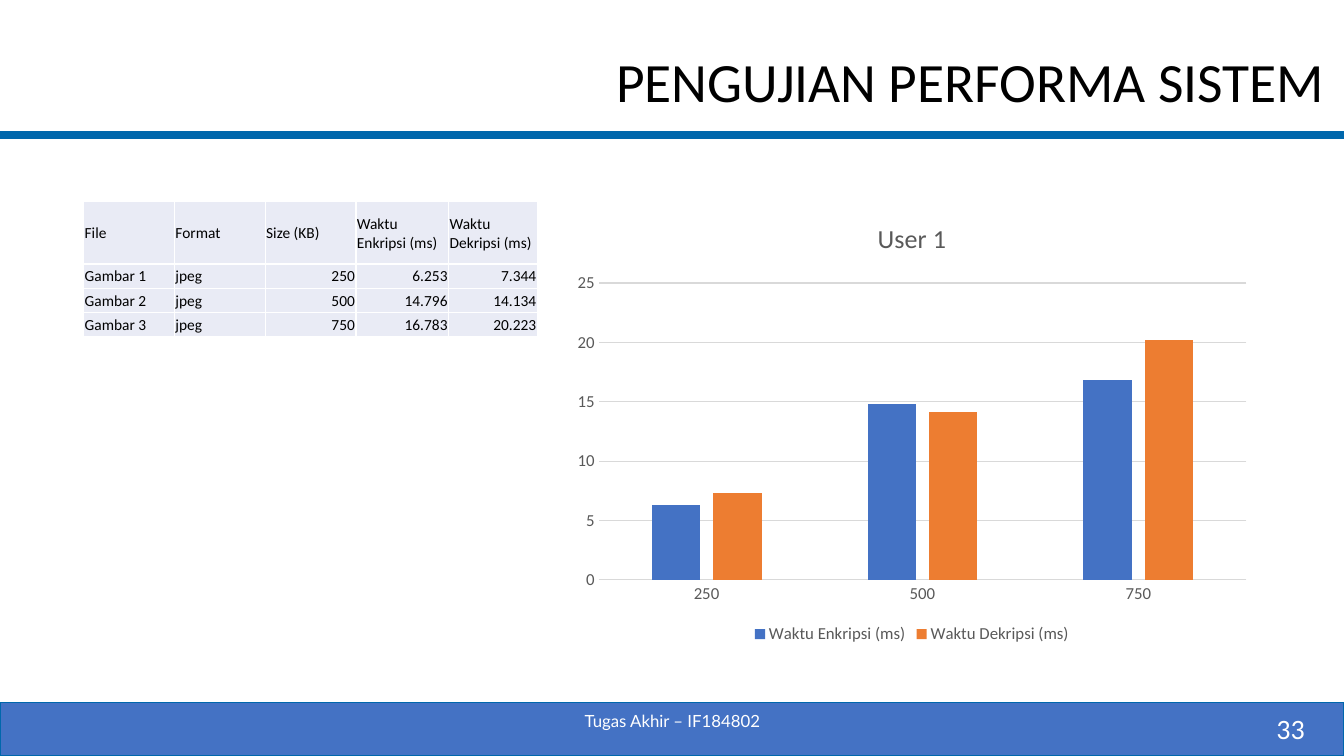
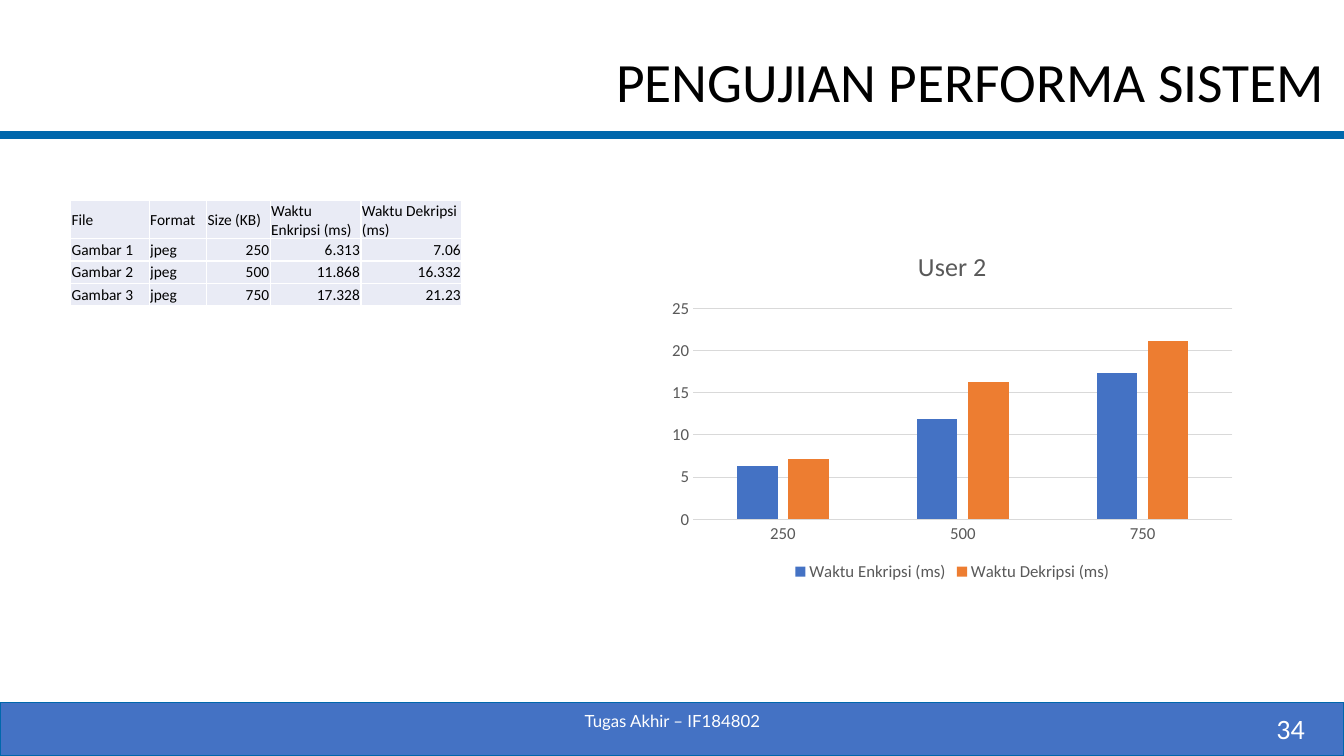
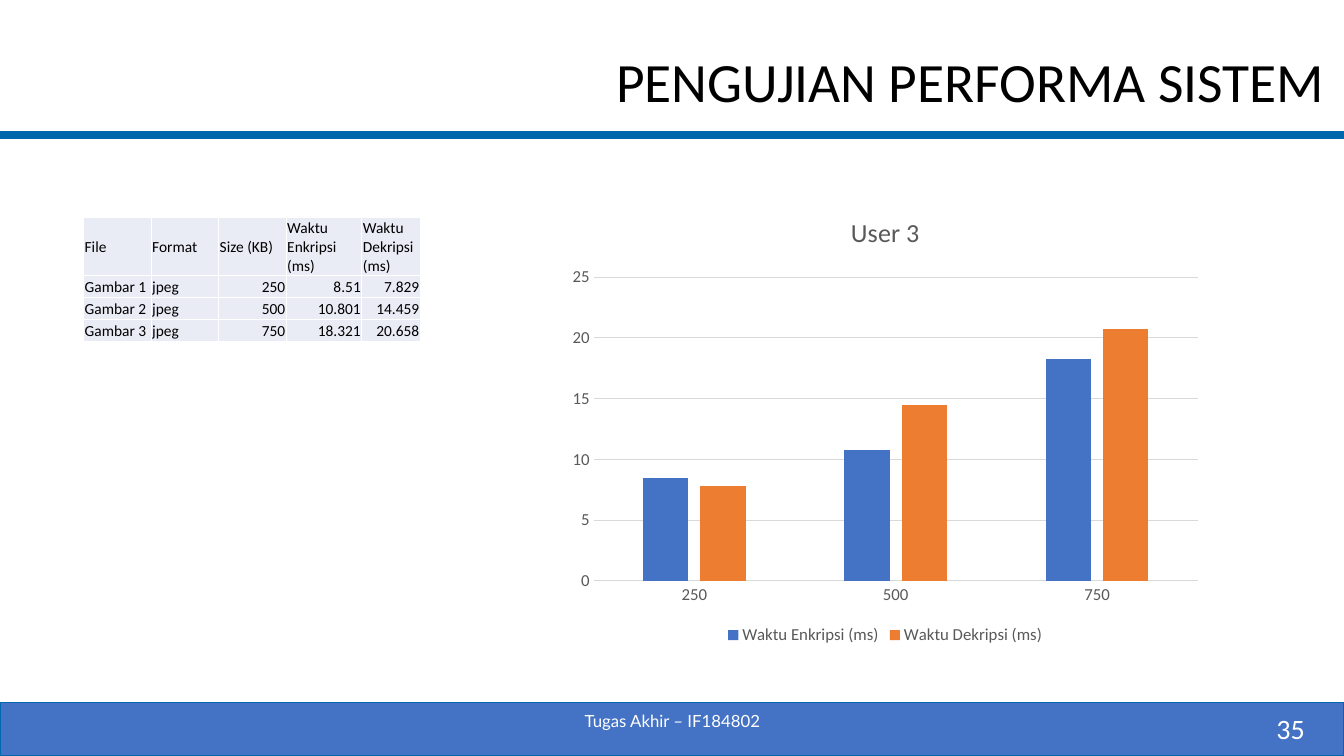
from lxml import etree
from pptx import Presentation
from pptx import util as u
from pptx.chart import data as chart_data
from pptx.dml.color import RGBColor
from pptx.enum import chart as ch
from pptx.enum import shapes, text
from pptx.oxml import ns

WIDTH, HEIGHT = 13.33, 7.5
RULE_BLUE = RGBColor(0x00, 0x67, 0xAC)
BLUE = RGBColor(0x44, 0x72, 0xC4)
ORANGE = RGBColor(0xED, 0x7D, 0x31)
CELL = RGBColor(0xE9, 0xEB, 0xF5)
GRID = RGBColor(0xD9, 0xD9, 0xD9)
GREY = RGBColor(0x59, 0x59, 0x59)
BLACK = RGBColor(0, 0, 0)
WHITE = RGBColor(255, 255, 255)

LEFT, CENTER, RIGHT = text.PP_ALIGN.LEFT, text.PP_ALIGN.CENTER, text.PP_ALIGN.RIGHT
TITLE = {"name": "Calibri", "size": u.Pt(39.6), "color": BLACK}
NUMBER = {"name": "Calibri", "size": u.Pt(20), "color": WHITE}
FOOTER = {"name": "Lato", "size": u.Pt(12), "color": WHITE}
TABLE = {"name": "Calibri", "size": u.Pt(11), "color": BLACK}
LABEL = {"name": "Calibri", "size": u.Pt(12), "color": GREY, "bold": False}
CHART_TITLE = {**LABEL, "size": u.Pt(18.6)}

HEADINGS = ["File", "Format", "Size (KB)", "Waktu Enkripsi (ms)", "Waktu Dekripsi (ms)"]
SIZES = ["250", "500", "750"]
# One entry per slide; boxes are left, top, width, height
USERS = [
    {"number": 33, "name": "User 1", "corner": (0.83, 2), "columns": [0.9, 0.9, 0.9, 0.92, 0.88],
     "rows": [0.62, 0.24], "chart": (5.59, 2, 6.91, 4.43),
     "times": [["6.253", "14.796", "16.783"], ["7.344", "14.134", "20.223"]]},
    {"number": 34, "name": "User 2", "corner": (0.7, 1.99), "columns": [0.78, 0.57, 0.63, 0.9, 1],
     "rows": [0.38, 0.22], "chart": (6.55, 2.29, 5.79, 3.52),
     "times": [["6.313", "11.868", "17.328"], ["7.06", "16.332", "21.23"]]},
    {"number": 35, "name": "User 3", "corner": (0.83, 2.16), "columns": [0.67, 0.67, 0.67, 0.75, 0.58],
     "rows": [0.57, 0.22], "chart": (5.55, 1.94, 6.46, 4.5),
     "times": [["8.51", "10.801", "18.321"], ["7.829", "14.459", "20.658"]]},
]


def inches(*lengths):
    return [u.Inches(length) for length in lengths]


def set_font(font, style):
    for key, value in style.items():
        if key == "color":
            font.color.rgb = value
        else:
            setattr(font, key, value)


def write(frame, words, style, align):
    para = frame.paragraphs[0]
    para.alignment = align
    span = para.add_run()
    span.text = words
    set_font(span.font, style)
    return para


def add_text(page, box, words, style, align):
    frame = page.shapes.add_textbox(*inches(*box)).text_frame
    frame.word_wrap = True
    frame.vertical_anchor = text.MSO_ANCHOR.MIDDLE
    return write(frame, words, style, align)


def set_line(line, color, points):
    line.color.rgb = color
    line.width = u.Pt(points)


def add_frame(page, number):
    """Title, rule and footer band shared by all slides."""
    rule = page.shapes.add_connector(shapes.MSO_CONNECTOR.STRAIGHT, *inches(0, 1.34, WIDTH, 1.34))
    set_line(rule.line, RULE_BLUE, 6)
    etree.SubElement(rule._element.spPr, ns.qn("a:effectLst"))
    title = add_text(page, (1.74, 0.21, 11.5, 0.84), "PENGUJIAN PERFORMA SISTEM", TITLE, RIGHT)
    title.line_spacing = 1.5

    band = page.shapes.add_shape(shapes.MSO_SHAPE.RECTANGLE, *inches(0, HEIGHT - 0.53, WIDTH, 0.53))
    band.shadow.inherit = False
    band.fill.solid()
    band.fill.fore_color.rgb = BLUE
    set_line(band.line, RULE_BLUE, 1)
    add_text(page, (10.04, 7.03, 3, 0.4), str(number), NUMBER, RIGHT)
    add_text(page, (4.42, 6.95, 4.5, 0.4), "Tugas Akhir – IF184802", FOOTER, CENTER)


def add_borders(cell):
    properties = cell._tc.get_or_add_tcPr()
    for side in ("lnL", "lnR", "lnT", "lnB"):
        line = etree.SubElement(properties, ns.qn("a:" + side), w=str(u.Pt(1)))
        fill = etree.SubElement(line, ns.qn("a:solidFill"))
        etree.SubElement(fill, ns.qn("a:srgbClr"), val=str(WHITE))


def add_times_table(page, user):
    """Header row plus one row for each file."""
    records = [[f"Gambar {i}", "jpeg", *values]
               for i, values in enumerate(zip(SIZES, *user["times"]), 1)]
    header, row_height = user["rows"]
    heights = [header] + [row_height] * len(records)
    columns = user["columns"]
    table = page.shapes.add_table(len(heights), len(columns), *inches(
        *user["corner"], sum(columns), sum(heights))).table
    table.first_row = table.horz_banding = False
    for column, width in zip(table.columns, columns):
        column.width = u.Inches(width)
    for i, (height, record) in enumerate(zip(heights, [HEADINGS] + records)):
        table.rows[i].height = u.Inches(height)
        for j, words in enumerate(record):
            cell = table.cell(i, j)
            cell.margin_left = cell.margin_right = cell.margin_top = u.Inches(0.01)
            cell.margin_bottom = 0
            cell.vertical_anchor = text.MSO_ANCHOR.MIDDLE
            add_borders(cell)
            cell.fill.solid()
            cell.fill.fore_color.rgb = CELL
            write(cell.text_frame, words, TABLE, RIGHT if i and j > 1 else LEFT)


def add_times_chart(page, user):
    """Encryption and decryption times by file size."""
    data = chart_data.CategoryChartData()
    data.categories = SIZES
    for name, times in zip(HEADINGS[3:], user["times"]):
        data.add_series(name, [round(float(time), 1) for time in times])
    chart = page.shapes.add_chart(
        ch.XL_CHART_TYPE.COLUMN_CLUSTERED, *inches(*user["chart"]), data).chart
    set_font(chart.font, LABEL)
    chart.has_title = True
    write(chart.chart_title.text_frame, user["name"], CHART_TITLE, CENTER)
    chart.chart_title.include_in_layout = False

    chart.has_legend = True
    chart.legend.position = ch.XL_LEGEND_POSITION.BOTTOM
    chart.legend.include_in_layout = False
    set_font(chart.legend.font, LABEL)

    plot = chart.plots[0]
    plot.gap_width, plot.overlap = 219, -27
    plot.vary_by_categories = False
    for series, color in zip(plot.series, (BLUE, ORANGE)):
        series.format.fill.solid()
        series.format.fill.fore_color.rgb = color

    for axis in (chart.category_axis, chart.value_axis):
        axis.major_tick_mark = axis.minor_tick_mark = ch.XL_TICK_MARK.NONE
        set_font(axis.tick_labels.font, LABEL)
    set_line(chart.category_axis.format.line, GRID, 0.75)
    values = chart.value_axis
    values.minimum_scale, values.maximum_scale, values.major_unit = 0, 25, 5
    values.format.line.fill.background()
    set_line(values.major_gridlines.format.line, GRID, 0.75)


def main():
    deck = Presentation()
    deck.slide_width, deck.slide_height = inches(WIDTH, HEIGHT)
    for user in USERS:
        page = deck.slides.add_slide(deck.slide_layouts[6])
        add_frame(page, user["number"])
        add_times_table(page, user)
        add_times_chart(page, user)
    deck.save("out.pptx")


if __name__ == "__main__":
    main()
